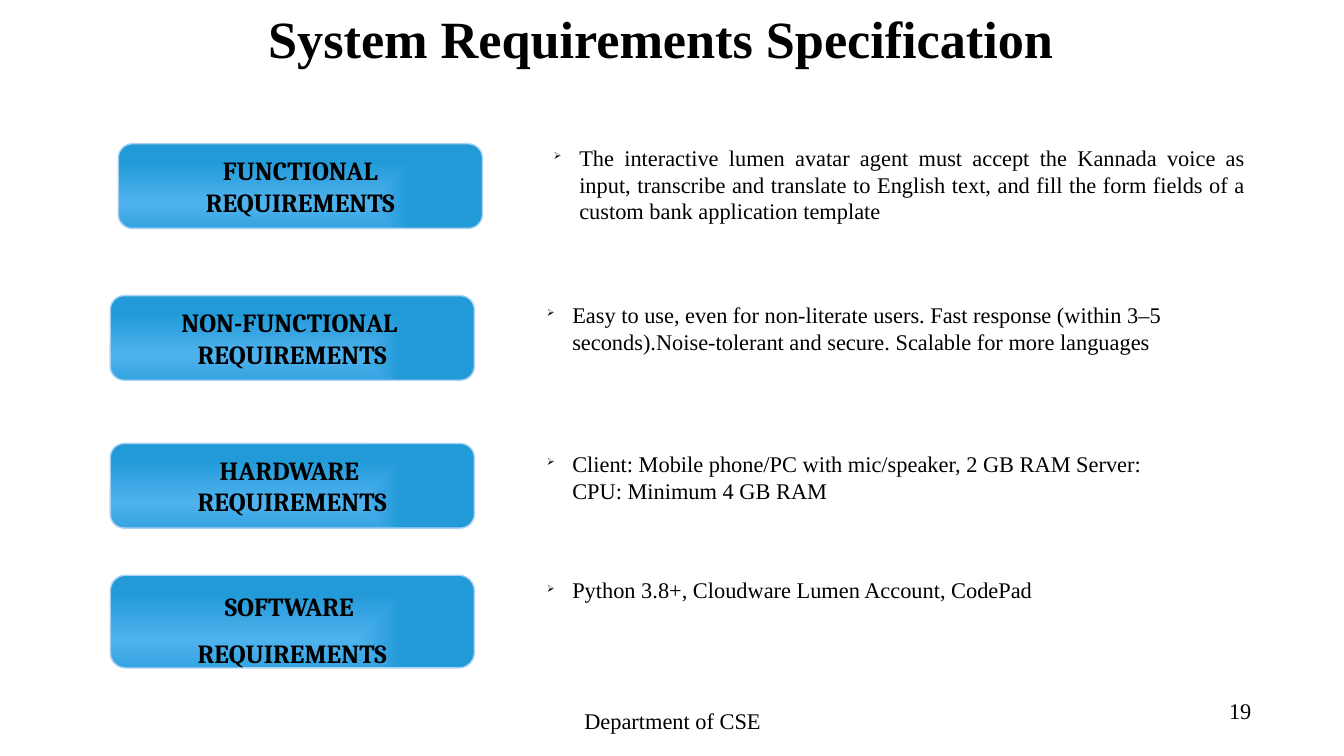
from pptx import Presentation
from pptx.dml.color import RGBColor
from pptx.enum.shapes import MSO_SHAPE as Shape
from pptx.enum.text import MSO_ANCHOR as Anchor, MSO_AUTO_SIZE as AutoSize, PP_ALIGN as Align
from pptx.oxml import parse_xml
from pptx.oxml.ns import nsdecls, qn
from pptx.util import Inches, Pt

COLOURS = {"text": "000000", "glow": "4EB2ED", "button": "229AD8", "border": "ABD2F4"}
BODY_FONT, BUTTON_FONT = "Times New Roman", "Cambria"
WIDE_INSETS, NARROW_INSETS = (0.1, 0.05), (0.07, 0.04)


class SlideBuilder:
    """Holds the style and the current slide, and adds its elements."""

    def __init__(self, presentation):
        self.slide = presentation.slides.add_slide(presentation.slide_layouts[6])

    def colour(self, name):
        return RGBColor.from_string(COLOURS[name])

    def prepare_frame(self, shape, insets):
        frame = shape.text_frame
        frame.word_wrap = True
        frame.margin_left = frame.margin_right = Inches(insets[0])
        frame.margin_top = frame.margin_bottom = Inches(insets[1])
        return frame

    def add_run(self, paragraph, text, size, font=BODY_FONT, bold=False):
        run = paragraph.add_run()
        run.text = text
        run.font.size = Pt(size)
        run.font.name = font
        run.font.bold = bold
        run.font.color.rgb = self.colour("text")

    def text(self, box, text, size=12, align=Align.LEFT, bold=False, insets=WIDE_INSETS):
        shape = self.slide.shapes.add_textbox(*map(Inches, box))
        frame = self.prepare_frame(shape, insets)
        paragraph = frame.paragraphs[0]
        paragraph.alignment = align
        self.add_run(paragraph, text, size, bold=bold)
        return frame

    def bullet(self, box, text, align=Align.LEFT, insets=WIDE_INSETS):
        frame = self.text(box, text, align=align, insets=insets)
        frame.auto_size = AutoSize.SHAPE_TO_FIT_TEXT
        properties = frame.paragraphs[0]._p.get_or_add_pPr()
        properties.set("marL", str(Inches(0.19)))
        properties.set("indent", str(Inches(-0.19)))
        for xml in (
            f'<a:buClr {nsdecls("a")}><a:srgbClr val="{COLOURS["text"]}"/></a:buClr>',
            f'<a:buSzPct {nsdecls("a")} val="45000"/>',
            f'<a:buChar {nsdecls("a")} char="➢"/>',
        ):
            properties.append(parse_xml(xml))

    def button(self, box, lines, line_spacing):
        shape = self.slide.shapes.add_shape(Shape.ROUNDED_RECTANGLE, *map(Inches, box))
        shape.shadow.inherit = False
        self.fill_with_glow(shape)
        shape.line.color.rgb = self.colour("border")
        shape.line.width = Pt(0.75)
        frame = self.prepare_frame(shape, NARROW_INSETS)
        frame.vertical_anchor = Anchor.MIDDLE
        for index, line in enumerate(lines):
            paragraph = frame.add_paragraph() if index else frame.paragraphs[0]
            paragraph.alignment = Align.CENTER
            paragraph.line_spacing = line_spacing
            self.add_run(paragraph, line, 14, BUTTON_FONT, True)

    def fill_with_glow(self, shape):
        shape.fill.gradient()
        for stop, name in zip(shape.fill.gradient_stops, ("glow", "button")):
            stop.color.rgb = self.colour(name)
        gradient = shape._element.spPr.find(qn("a:gradFill"))
        gradient.replace(gradient.find(qn("a:lin")), parse_xml(
            f'<a:path {nsdecls("a")} path="shape">'
            '<a:fillToRect l="30000" t="70000" r="70000" b="30000"/></a:path>'))


def main():
    presentation = Presentation()
    presentation.slide_width = Inches(10)
    presentation.slide_height = Inches(10) * 9 // 16
    builder = SlideBuilder(presentation)

    buttons = {
        "functional": ("FUNCTIONAL", 0.88, 1.07, 0.63, 1.0),
        "non-functional": ("NON-FUNCTIONAL ", 0.82, 2.2, 0.63, 1.0),
        "hardware": ("HARDWARE ", 0.82, 3.3, 0.63, 1.0),
        "software": ("SOFTWARE ", 0.82, 4.28, 0.69, 1.5),
    }

    def add_buttons(*names):
        for name in names:
            heading, left, top, height, spacing = buttons[name]
            builder.button((left, top, 2.71, height), (heading, "REQUIREMENTS"), spacing)

    builder.bullet(
        (4.05, 1.03, 5.29, 0.68),
        "The interactive lumen avatar agent must accept the Kannada voice as input, "
        "transcribe and translate to English text, and fill the form fields of a "
        "custom bank application template",
        Align.JUSTIFY, NARROW_INSETS)
    add_buttons("hardware", "software")
    builder.text((0.42, 0, 8.99, 0.84), "System Requirements Specification",
                 28, Align.CENTER, True)
    builder.text((8.81, 5.14, 0.6, 0.43), "19", align=Align.RIGHT)
    builder.text((3.42, 5.21, 3.17, 0.3), "Department of CSE", align=Align.CENTER)
    add_buttons("non-functional", "functional")

    details = [
        (2.19, 5.2, 0.5, "Easy to use, even for non-literate users. Fast response (within 3–5 "
                         "seconds).Noise-tolerant and secure. Scalable for more languages"),
        (3.3, 5, 0.5, "Client: Mobile phone/PC with mic/speaker, 2 GB RAM Server: "
                      "CPU: Minimum 4 GB RAM"),
        (4.24, 5, 0.3, "Python 3.8+, Cloudware Lumen Account, CodePad"),
    ]
    for top, width, height, text in details:
        builder.bullet((3.97, top, width, height), text)
    presentation.save("out.pptx")


if __name__ == "__main__":
    main()
